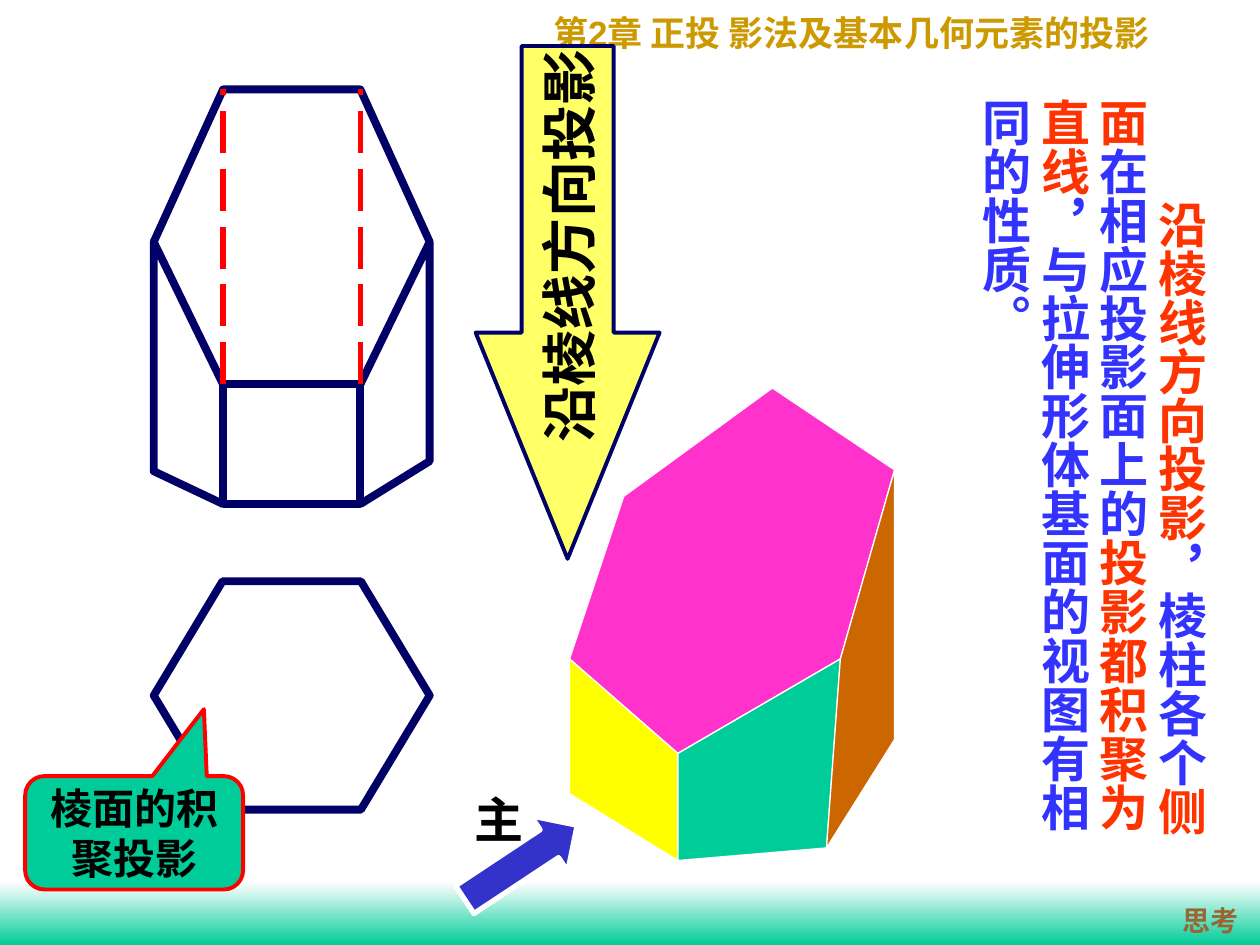
from lxml import etree
from pptx import Presentation
from pptx.dml.color import RGBColor
from pptx.enum.dml import MSO_LINE
from pptx.enum.shapes import MSO_CONNECTOR, MSO_SHAPE
from pptx.enum.text import MSO_ANCHOR, MSO_AUTO_SIZE, PP_ALIGN
from pptx.oxml.ns import qn
from pptx.util import Pt

PX = 9144
WHITE = RGBColor(0xFF, 0xFF, 0xFF)
BLACK = RGBColor(0x00, 0x00, 0x00)
NAVY = RGBColor(0x00, 0x00, 0x66)
RED = RGBColor(0xFF, 0x00, 0x00)
GREEN = RGBColor(0x00, 0xCC, 0x99)
GOLD = RGBColor(0xCC, 0x99, 0x00)
PINK = RGBColor(0xFF, 0x33, 0xCC)
YELLOW = RGBColor(0xFF, 0xFF, 0x00)
PALE_YELLOW = RGBColor(0xFF, 0xFF, 0x66)
ORANGE = RGBColor(0xCC, 0x66, 0x00)
BROWN = RGBColor(0x99, 0x66, 0x33)
BLUE = RGBColor(0x33, 0x33, 0xFF)
DEEP_BLUE = RGBColor(0x33, 0x33, 0xCC)
SCARLET = RGBColor(0xFF, 0x33, 0x00)

LEFT, CENTER = PP_ALIGN.LEFT, PP_ALIGN.CENTER
TOP, MIDDLE = MSO_ANCHOR.TOP, MSO_ANCHOR.MIDDLE
LONG_DASH = MSO_LINE.LONG_DASH
STRAIGHT = MSO_CONNECTOR.STRAIGHT
SERIF, SANS, CHINESE = "Times New Roman", "Arial", "Noto Sans CJK SC"


def emu(*lengths):
    """Turn px lengths into EMU."""
    return [length * PX for length in lengths]


def write(para, spans, size, align=LEFT):
    """Fill a paragraph with (text, colour, font) spans."""
    para.alignment = align
    para.space_before = Pt(0)
    para.line_spacing = Pt(round(size * 1.2, 1))
    for text, color, name in spans:
        span = para.add_run()
        span.text = text
        span.font.name = name
        span.font.size = Pt(size)
        span.font.bold = True
        span.font.color.rgb = color
        east_asian = etree.SubElement(span.font._element, qn("a:ea"))
        east_asian.set("typeface", CHINESE)


def paint(shape, fill, line, width):
    """Set the fill and outline of a shape and drop its shadow."""
    shape.shadow.inherit = False
    if fill is None:
        shape.fill.background()
    else:
        shape.fill.solid()
        shape.fill.fore_color.rgb = fill
    shape.line.color.rgb = line
    shape.line.width = Pt(width)


def add_preset(shapes, kind, box, adjustments, fill, line, width):
    """Add a painted preset shape."""
    shape = shapes.add_shape(kind, *emu(*box))
    for index, value in enumerate(adjustments):
        shape.adjustments[index] = value
    paint(shape, fill, line, width)
    return shape


def add_outline(shapes, box, points, fill, line, width, close=True):
    """Draw a freeform through points relative to the box."""
    placed = [(box[0] + x, box[1] + y) for x, y in points]
    builder = shapes.build_freeform(*placed[0], scale=PX)
    builder.add_line_segments(placed[1:], close=close)
    paint(builder.convert_to_shape(), fill, line, width)


def add_label(shapes, box, text, size, color):
    """Add a short unwrapped text label."""
    frame = shapes.add_textbox(*emu(*box)).text_frame
    frame.word_wrap = False
    write(frame.paragraphs[0], [(text, color, SERIF)], size)


def add_caption(shape, lines, size):
    """Centre black lines of text inside a shape."""
    frame = shape.text_frame
    frame.word_wrap = False
    frame.vertical_anchor = MIDDLE
    for index, text in enumerate(lines):
        para = frame.add_paragraph() if index else frame.paragraphs[0]
        write(para, [(text, BLACK, SERIF)], size, CENTER)


def add_heading(page, box):
    """Place the chapter heading in the title placeholder."""
    title = page.shapes.title
    title.left, title.top, title.width, title.height = emu(*box)
    frame = title.text_frame
    frame.auto_size = MSO_AUTO_SIZE.NONE
    frame.vertical_anchor = TOP
    frame.word_wrap = True
    write(frame.paragraphs[0], [
        ("第", GOLD, SERIF), ("2", GOLD, SANS),
        ("章 正投 影法及基本几何元素的投影", GOLD, SERIF)], 20)


def add_band(page, box):
    """Draw the fading band at the foot of the page."""
    band = page.shapes.add_shape(MSO_SHAPE.RECTANGLE, *emu(*box))
    band.shadow.inherit = False
    band.line.fill.background()
    band.fill.gradient()
    band.fill.gradient_angle = 270
    for stop, color, position in zip(band.fill.gradient_stops, (WHITE, GREEN), (0, 1)):
        stop.color.rgb = color
        stop.position = position


def add_prism(page, box):
    """Draw the coloured faces of the cut prism."""
    group = page.shapes.add_group_shape()
    front, right, far, peak, back, left = (
        (86, 290), (215, 215), (258, 65), (161, 0), (43, 86), (0, 215))
    foot_left, foot_front, foot_right, foot_far = (0, 322), (86, 375), (204, 365), (258, 279)
    faces = [
        (PINK, [front, right, far, peak, back, left]),
        (YELLOW, [left, foot_left, foot_front, front]),
        (GREEN, [front, right, foot_right, foot_front]),
        (ORANGE, [right, far, foot_far, foot_right])]
    for color, points in faces:
        add_outline(group.shapes, box, points, color, WHITE, 0.75)


def add_explanation(page, box):
    """Write the vertical explanation with coloured key words."""
    frame = page.shapes.add_textbox(*emu(*box)).text_frame
    frame.word_wrap = True
    frame.margin_left = frame.margin_right = 5 * PX
    frame.margin_top = frame.margin_bottom = 10 * PX
    frame._txBody.bodyPr.set("vert", "eaVert")
    para = frame.paragraphs[0]
    write(para, [(text, color, CHINESE) for text, color in (
        ("沿棱线方向投影", SCARLET), ("，棱柱各个", BLUE), ("侧面", SCARLET),
        ("在相应投影面上的", BLUE), ("投影都积聚为直线", SCARLET),
        ("，与拉伸形体基面的视图有相同的性质。", BLUE))], 28)
    para._p.get_or_add_pPr().set("indent", str(81 * PX))


def add_views(page, box):
    """Draw the front and top views with the projection arrow."""
    shapes = page.shapes.add_group_shape().shapes
    left, top = box[:2]
    outlines = [
        (WHITE, True, [(0, 303), (55, 329), (55, 234), (0, 121)]),
        (None, False, [(55, 329), (164, 329), (164, 234), (55, 234)]),
        (None, False, [(164, 329), (219, 295), (219, 121), (164, 234)]),
        (None, False, [(219, 121), (164, 0), (55, 0), (0, 121)])]
    for fill, close, points in outlines:
        add_outline(shapes, box, points, fill, NAVY, 4.5, close)
    add_preset(shapes, MSO_SHAPE.HEXAGON, (left, top + 390, 219, 182),
               (0.3, 1.15), WHITE, NAVY, 4.5)
    arrow = add_preset(shapes, MSO_SHAPE.LEFT_ARROW, (left + 125, top + 96, 407, 146),
                       (0.5, 1.23), PALE_YELLOW, NAVY, 2.25)
    arrow.rotation = 270
    add_caption(arrow, ["沿棱线方向投影"], 32)
    for x in (left + 55, left + 164):
        edge = shapes.add_connector(STRAIGHT, *emu(x, top + 234, x, top))
        edge.line.color.rgb = RED
        edge.line.width = Pt(3)
        edge.line.dash_style = LONG_DASH
        etree.SubElement(edge._element.spPr, qn("a:effectLst"))


def add_main_direction(page, box):
    """Mark the main viewing direction."""
    shapes = page.shapes.add_group_shape().shapes
    left, top = box[:2]
    arrow = add_preset(shapes, MSO_SHAPE.RIGHT_ARROW, (left, top + 36, 107, 53),
                       (0.5, 0.5), DEEP_BLUE, WHITE, 3)
    arrow.rotation = 326.5
    add_label(shapes, (left + 7, top, 59, 57), "主", 28, BLACK)


def add_callout(page, box):
    """Point out the accumulated projection of the side faces."""
    callout = add_preset(page.shapes, MSO_SHAPE.ROUNDED_RECTANGULAR_CALLOUT, box,
                         (0.32, -1.09, 0.17), GREEN, RED, 2.25)
    add_caption(callout, ["棱面的积", "聚投影"], 24)


def main():
    """Build and save the deck."""
    deck = Presentation()
    deck.slide_width, deck.slide_height = emu(1000, 750)
    page = deck.slides.add_slide(deck.slide_layouts[5])
    add_band(page, (0, 700, 1000, 50))
    add_heading(page, (429, 4, 529, 44))
    add_prism(page, (452, 308, 258, 375))
    add_explanation(page, (760, 68, 206, 627))
    add_label(page.shapes, (929, 712, 64, 37), "思考", 16, BROWN)
    add_views(page, (122, 71, 219, 572))
    add_main_direction(page, (360, 622, 107, 89))
    add_callout(page, (20, 616, 173, 90))
    deck.save("out.pptx")


if __name__ == "__main__":
    main()
